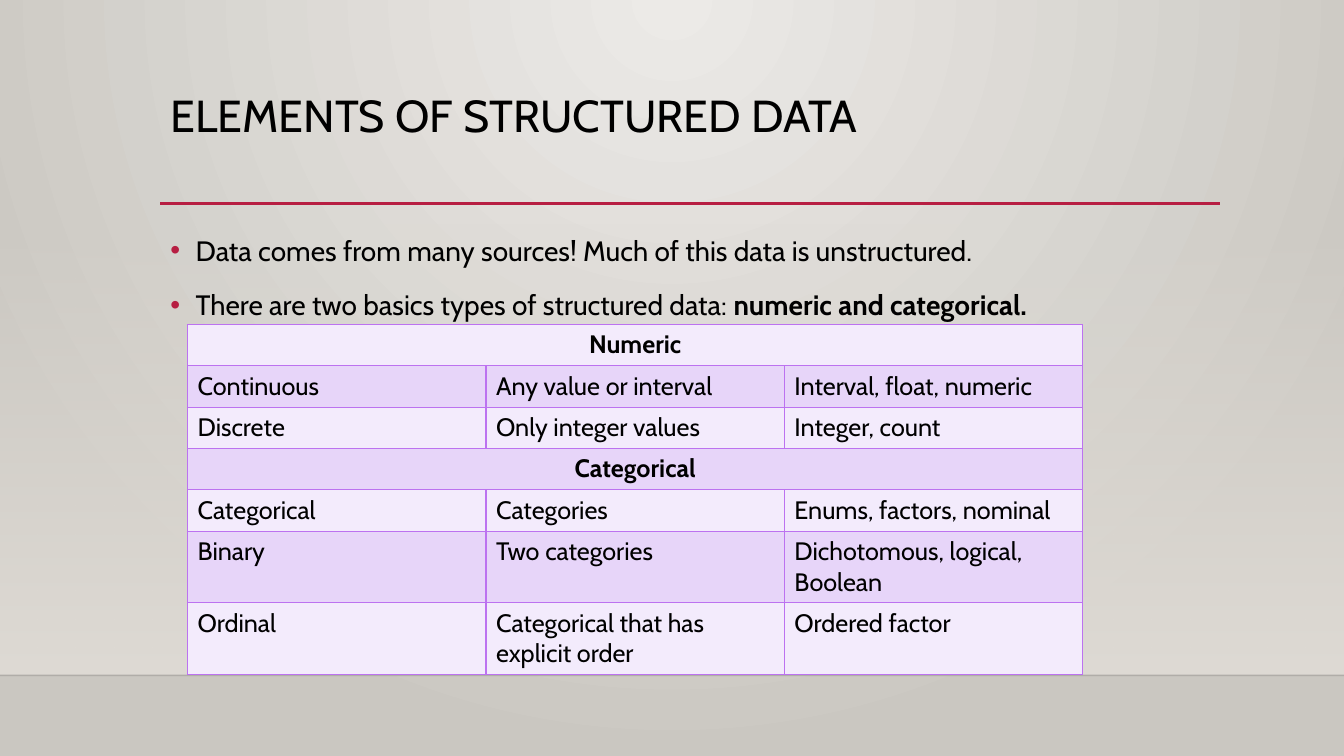
from pptx import Presentation
from pptx.dml.color import RGBColor
from pptx.enum.shapes import MSO_CONNECTOR, MSO_SHAPE
from pptx.enum.text import MSO_ANCHOR, PP_ALIGN
from pptx.oxml.ns import qn
from pptx.util import Inches, Pt
from lxml.etree import SubElement

# Content
TITLE = "ELEMENTS OF STRUCTURED DATA"
BULLETS = [
    [("Data comes from many sources! Much of this data is unstructured.", False)],
    [("There are two basics types of structured data: ", False),
     ("numeric and categorical.", True)],
]
# A row with a single entry is a heading across the whole table
ROWS = [
    ["Numeric"],
    ["Continuous", "Any value or interval", "Interval, float, numeric"],
    ["Discrete", "Only integer values", "Integer, count"],
    ["Categorical"],
    ["Categorical", "Categories", "Enums, factors, nominal"],
    ["Binary", "Two categories", "Dichotomous, logical, Boolean"],
    ["Ordinal", "Categorical that has explicit order", "Ordered factor"],
]

# Style
FONT = "Cabin"
BLACK = RGBColor(0x00, 0x00, 0x00)
CRIMSON = RGBColor(0xB7, 0x1E, 0x42)
WALL_LIGHT = RGBColor(0xEC, 0xEA, 0xE7)
WALL_DARK = RGBColor(0xCA, 0xC7, 0xC1)
HAZE = RGBColor(0xDF, 0xDB, 0xD5)
BORDER = RGBColor(0xBC, 0x72, 0xF0)
STRIPES = [RGBColor(0xF3, 0xEB, 0xFC), RGBColor(0xE7, 0xD5, 0xF9)]

# Layout, in inches
WIDTH, HEIGHT = 13.33, 7.5
LEFT, TEXT_WIDTH = 1.59, 10.5
RULE_Y, FLOOR_Y = 2.02, 6.7
HAZE_TOP = 2.21
TABLE_LEFT, TABLE_TOP = 1.86, 3.22
COLUMN, ROW = 2.96, 0.41
INDENT = 0.25


def set_stops(fill, *colors):
    fill.gradient()
    for stop, color, position in zip(fill.gradient_stops, colors, (0, 1)):
        stop.color.rgb = color
        stop.position = position


def set_alpha(color_element, percent):
    SubElement(color_element, qn("a:alpha")).set("val", str(percent * 1000))


def add_rule(page, left, right, y, color, weight):
    rule = page.shapes.add_connector(
        MSO_CONNECTOR.STRAIGHT, Inches(left), Inches(y), Inches(right), Inches(y))
    rule.line.color.rgb = color
    rule.line.width = Pt(weight)
    SubElement(rule._element.spPr, qn("a:effectLst"))
    return rule


def place(box, left, top, width, height):
    box.left, box.top, box.width, box.height = map(Inches, (left, top, width, height))
    box.text_frame.vertical_anchor = MSO_ANCHOR.TOP
    box.text_frame.word_wrap = True


def style(para, size, bold=None):
    para.font.name = FONT
    para.font.size = Pt(size)
    para.font.color.rgb = BLACK
    para.font.bold = bold


def add_bullet(para):
    properties = para._p.get_or_add_pPr()
    properties.set("marL", str(Inches(INDENT)))
    properties.set("indent", str(-Inches(INDENT)))
    color = SubElement(properties, qn("a:buClr"))
    SubElement(color, qn("a:srgbClr")).set("val", str(CRIMSON))
    SubElement(properties, qn("a:buFont")).set("typeface", "Arial")
    SubElement(properties, qn("a:buChar")).set("char", "•")


def add_borders(cell):
    properties = cell._tc.get_or_add_tcPr()
    for index, side in enumerate(("a:lnL", "a:lnR", "a:lnT", "a:lnB")):
        line = properties.makeelement(qn(side), {"w": str(Pt(1))})
        fill = SubElement(line, qn("a:solidFill"))
        SubElement(fill, qn("a:srgbClr")).set("val", str(BORDER))
        properties.insert(index, line)


deck = Presentation()
deck.slide_width, deck.slide_height = Inches(WIDTH), Inches(HEIGHT)
page = deck.slides.add_slide(deck.slide_layouts[1])
title, body = page.shapes.title, page.placeholders[1]

# Background: glow from the top centre
set_stops(page.background.fill, WALL_LIGHT, WALL_DARK)
gradient = page._element.find(".//" + qn("p:bgPr")).find(qn("a:gradFill"))
gradient.remove(gradient.find(qn("a:lin")))
glow = SubElement(gradient, qn("a:path"))
glow.set("path", "circle")
target = SubElement(glow, qn("a:fillToRect"))
for side, share in zip("ltrb", (43, 0, 43, 100)):
    target.set(side, str(share * 1000))

# Haze that thickens down to the floor line
haze = page.shapes.add_shape(
    MSO_SHAPE.RECTANGLE, 0, Inches(HAZE_TOP), Inches(WIDTH), Inches(FLOOR_Y - HAZE_TOP))
haze.shadow.inherit = False
haze.line.fill.background()
set_stops(haze.fill, HAZE, HAZE)
haze.fill.gradient_angle = 270
set_alpha(haze._element.spPr.find(".//" + qn("a:srgbClr")), 0)

# Floor line and title rule
floor = add_rule(page, 0, WIDTH, FLOOR_Y, BLACK, 1)
set_alpha(floor._element.spPr.find(".//" + qn("a:srgbClr")), 20)
add_rule(page, LEFT, 12.1, RULE_Y, CRIMSON, 2.5)

# Title and bullets, in front of the haze
for box in (title, body):
    page.shapes._spTree.append(box._element)
place(title, LEFT, 0.88, TEXT_WIDTH, 1.15)
title.text_frame.text = TITLE
heading = title.text_frame.paragraphs[0]
heading.alignment = PP_ALIGN.LEFT
heading.line_spacing = 0.9
style(heading, 32)

place(body, LEFT, 2.2, TEXT_WIDTH, 3.77)
for index, spans in enumerate(BULLETS):
    frame = body.text_frame
    para = frame.add_paragraph() if index else frame.paragraphs[0]
    para.line_spacing = 1.2
    para.space_before = Pt(10)
    add_bullet(para)
    style(para, 20)
    for text, bold in spans:
        span = para.add_run()
        span.text = text
        span.font.bold = bold

# Table of data types
columns = max(map(len, ROWS))
table = page.shapes.add_table(
    len(ROWS), columns, Inches(TABLE_LEFT), Inches(TABLE_TOP),
    Inches(COLUMN * columns), Inches(ROW * len(ROWS))).table
for row, texts in enumerate(ROWS):
    is_heading = len(texts) == 1
    for column in range(columns):
        cell = table.cell(row, column)
        cell.fill.solid()
        cell.fill.fore_color.rgb = STRIPES[row % 2]
        add_borders(cell)
    if is_heading:
        table.cell(row, 0).merge(table.cell(row, columns - 1))
    for column, text in enumerate(texts):
        cell = table.cell(row, column)
        cell.text = text
        para = cell.text_frame.paragraphs[0]
        para.alignment = PP_ALIGN.CENTER if is_heading else PP_ALIGN.LEFT
        style(para, 18, is_heading)

deck.save("out.pptx")
